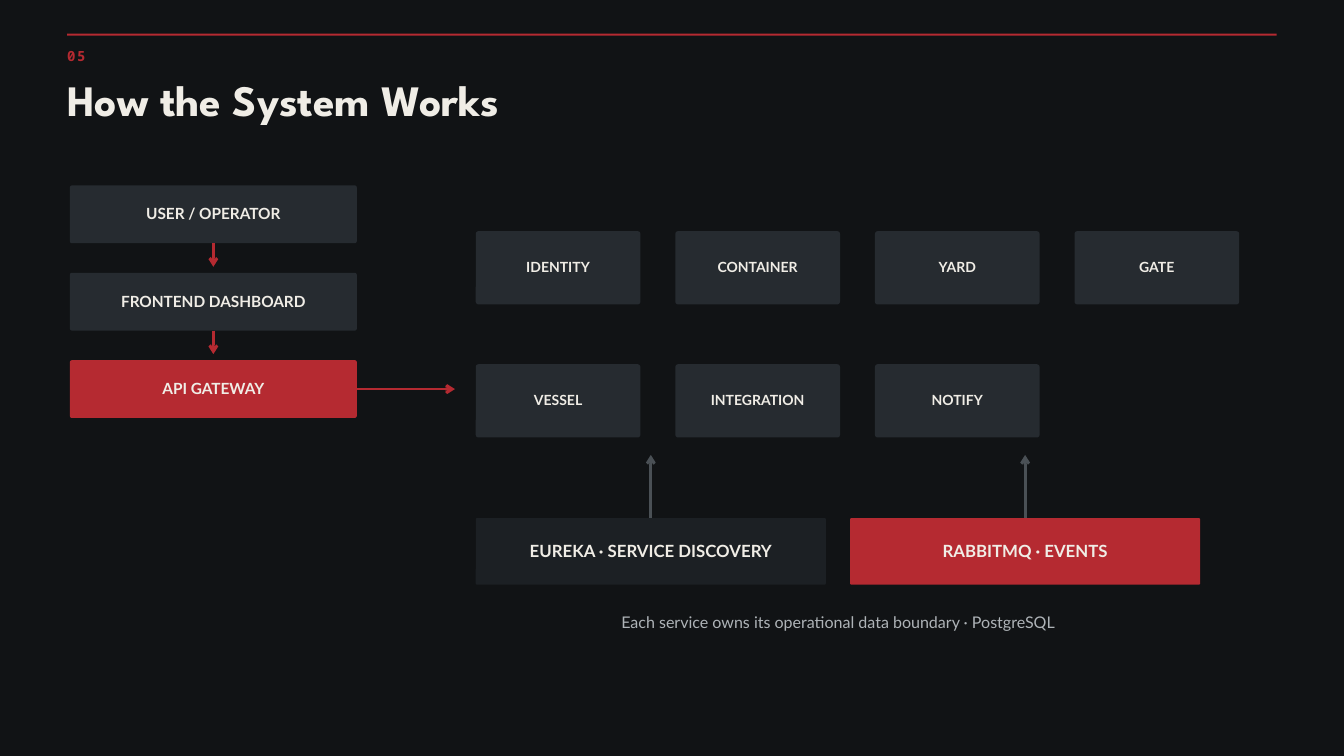
from collections import namedtuple
from dataclasses import dataclass

from lxml import etree
from pptx import Presentation
from pptx.dml.color import RGBColor
from pptx.enum.shapes import MSO_CONNECTOR, MSO_SHAPE
from pptx.enum.text import MSO_ANCHOR, MSO_AUTO_SIZE, PP_ALIGN
from pptx.oxml.ns import qn
from pptx.util import Inches, Pt

RECTANGLE, ROUNDED = MSO_SHAPE.RECTANGLE, MSO_SHAPE.ROUNDED_RECTANGLE
STRAIGHT = MSO_CONNECTOR.STRAIGHT
LEFT, CENTER = PP_ALIGN.LEFT, PP_ALIGN.CENTER
TOP, MIDDLE = MSO_ANCHOR.TOP, MSO_ANCHOR.MIDDLE
NO_AUTO_SIZE = MSO_AUTO_SIZE.NONE
TOP_SITE, BOTTOM_SITE, RIGHT_SITE = 0, 2, 3
TITLE_ONLY = 5

# The page is a grid of one-inch columns and rows.
COLUMNS, ROWS = 20, 11.25
Box = namedtuple("Box", "left top width height")


@dataclass(frozen=True)
class Theme:
    ground: str = "111315"
    panel: str = "262B30"
    deep_panel: str = "1C2024"
    accent: str = "B52A31"
    ink: str = "F0EDE6"
    muted: str = "AEB3B7"
    quiet_line: str = "4A5055"
    heading_font: str = "League Spartan"
    body_font: str = "Lato"
    mono_font: str = "Noto Sans Mono"
    title_size: float = 46.5
    support_size: float = 18
    note_size: float = 17.2
    chain_size: float = 16.5
    small_size: float = 15
    arrow_width: float = 3


THEME = Theme()


def colour(value):
    return RGBColor.from_string(value)


def grid(*lengths):
    return [Inches(length) for length in lengths]


def write(shape, text, font, size, ink, spacing, bold=True,
          align=LEFT, anchor=TOP, inset=0):
    """Put one formatted line into a shape; spacing is in points."""
    frame = shape.text_frame
    frame.word_wrap = True
    frame.auto_size = NO_AUTO_SIZE
    frame.vertical_anchor = anchor
    frame.margin_left = frame.margin_right = Inches(inset)
    frame.margin_top = frame.margin_bottom = Inches(inset)
    para = frame.paragraphs[0]
    para.alignment = align
    para.line_spacing = Pt(spacing)
    para.space_before = Pt(0)
    span = para.add_run()
    span.text = text
    span.font.name = font
    span.font.size = Pt(size)
    span.font.bold = bold
    span.font.color.rgb = colour(ink)
    return span


def add_filled(page, kind, box, fill):
    shape = page.shapes.add_shape(kind, *grid(*box))
    shape.shadow.inherit = False
    shape.fill.solid()
    shape.fill.fore_color.rgb = colour(fill)
    shape.line.fill.background()
    return shape


def add_block(page, box, label, fill, size, radius):
    block = add_filled(page, ROUNDED, box, fill)
    block.adjustments[0] = radius / min(box.width, box.height)
    write(block, label, THEME.body_font, size, THEME.ink, size * 1.1,
          align=CENTER, anchor=MIDDLE, inset=0.06)
    return block


def add_arrow(page, block, site, across, down, line_colour):
    """Draw an arrow from the middle of a block's side, by an offset in grid units."""
    start_x = block.left + (block.width if site == RIGHT_SITE else block.width // 2)
    start_y = block.top + {TOP_SITE: 0, BOTTOM_SITE: block.height,
                           RIGHT_SITE: block.height // 2}[site]
    arrow = page.shapes.add_connector(
        STRAIGHT, start_x, start_y, start_x + Inches(across), start_y + Inches(down))
    arrow.begin_connect(block, site)
    arrow.line.color.rgb = colour(line_colour)
    arrow.line.width = Pt(THEME.arrow_width)
    etree.SubElement(arrow.line._get_or_add_ln(), qn("a:tailEnd"), type="arrow")
    etree.SubElement(arrow._element.spPr, qn("a:effectLst"))


def add_header(page, box, number, title):
    add_filled(page, RECTANGLE, Box(box.left, box.top, box.width, 0.03), THEME.accent)

    number_box = page.shapes.add_textbox(*grid(box.left, box.top + 0.16, 1.04, 0.28))
    span = write(number_box, number, THEME.mono_font, THEME.small_size, THEME.accent, 21)
    span.font._element.set("spc", "180")

    heading = page.shapes.title
    heading.left, heading.top, heading.width, heading.height = grid(
        box.left, box.top + 0.73, 16.67, 0.66)
    write(heading, title, THEME.heading_font, THEME.title_size, THEME.ink, 45.6)


def add_request_chain(page, box, labels):
    """Stack the steps downwards; the last one is accented and points right."""
    height = 0.86
    pitch = (box.height - height) / (len(labels) - 1)
    last = len(labels) - 1
    for step, label in enumerate(labels):
        place = Box(box.left, box.top + step * pitch, box.width, height)
        fill = THEME.accent if step == last else THEME.panel
        block = add_block(page, place, label, fill, THEME.chain_size, 0.03)
        if step == last:
            add_arrow(page, block, RIGHT_SITE, 1.46, 0, THEME.accent)
        else:
            add_arrow(page, block, BOTTOM_SITE, 0, 0.35, THEME.accent)


def add_service_grid(page, box, rows):
    width, height = 2.45, 1.09
    column_pitch = (box.width - width) / (max(map(len, rows)) - 1)
    row_pitch = (box.height - height) / (len(rows) - 1)
    for row, labels in enumerate(rows):
        for column, label in enumerate(labels):
            place = Box(box.left + column * column_pitch, box.top + row * row_pitch,
                        width, height)
            add_block(page, place, label, THEME.panel, THEME.small_size, 0.04)


def add_support_row(page, box, items, note):
    """Set the shared platform blocks side by side, with a note below."""
    width, height = 5.21, 0.99
    pitch = (box.width - width) / (len(items) - 1)
    for index, (label, fill) in enumerate(items):
        place = Box(box.left + index * pitch, box.top, width, height)
        block = add_block(page, place, label, fill, THEME.support_size, 0.02)
        add_arrow(page, block, TOP_SITE, 0, -0.94, THEME.quiet_line)

    note_height = 0.3
    note_box = page.shapes.add_textbox(*grid(
        box.left, box.top + box.height - note_height, box.width, note_height))
    write(note_box, note, THEME.body_font, THEME.note_size, THEME.muted, 22.4,
          bold=False, align=CENTER)


def main():
    deck = Presentation()
    deck.slide_width, deck.slide_height = grid(COLUMNS, ROWS)
    page = deck.slides.add_slide(deck.slide_layouts[TITLE_ONLY])
    page.background.fill.solid()
    page.background.fill.fore_color.rgb = colour(THEME.ground)

    add_header(page, Box(1, 0.5, COLUMNS - 2, 1.39), "05", "How the System Works")
    add_request_chain(page, Box(1.04, 2.76, 4.27, 3.46),
                      ["USER / OPERATOR", "FRONTEND DASHBOARD", "API GATEWAY"])
    add_service_grid(page, Box(7.08, 3.44, 11.36, 3.07),
                     [["IDENTITY", "CONTAINER", "YARD", "GATE"],
                      ["VESSEL", "INTEGRATION", "NOTIFY"]])
    add_support_row(page, Box(7.08, 7.71, 10.78, 1.68),
                    [("EUREKA · SERVICE DISCOVERY", THEME.deep_panel),
                     ("RABBITMQ · EVENTS", THEME.accent)],
                    "Each service owns its operational data boundary · PostgreSQL")
    deck.save("out.pptx")


if __name__ == "__main__":
    main()
